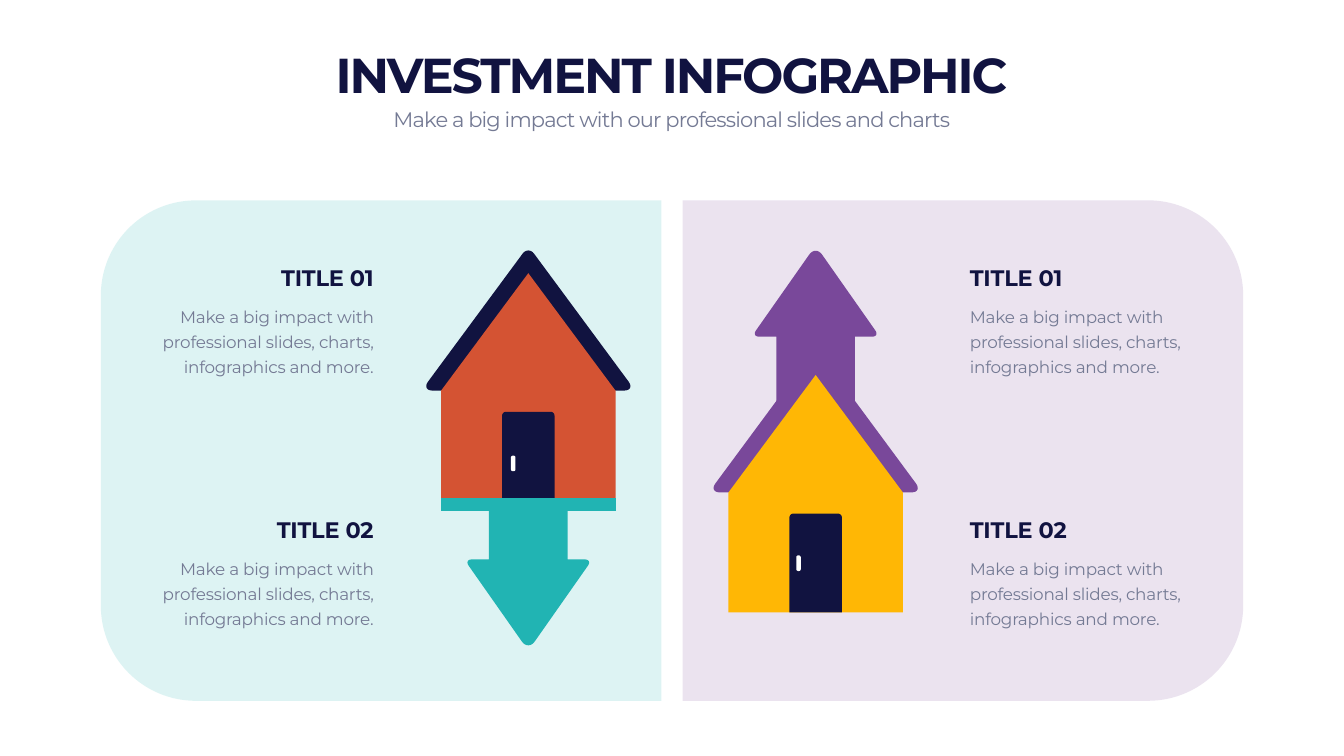
import typing

import lxml.etree
import pptx
import pptx.dml.color
import pptx.enum.shapes
import pptx.enum.text
import pptx.oxml.ns
import pptx.util

RGBColor = pptx.dml.color.RGBColor
Align = pptx.enum.text.PP_ALIGN
Anchor = pptx.enum.text.MSO_ANCHOR
ShapeKind = pptx.enum.shapes.MSO_SHAPE

NAVY = RGBColor(0x11, 0x13, 0x40)
GRAY = RGBColor(0x74, 0x7A, 0x94)
TEAL = RGBColor(0x21, 0xB4, 0xB3)
PURPLE = RGBColor(0x79, 0x48, 0x9A)
ORANGE = RGBColor(0xD4, 0x53, 0x33)
YELLOW = RGBColor(0xFF, 0xB7, 0x05)
WHITE = RGBColor(0xFF, 0xFF, 0xFF)

FONT = "Montserrat"
COLUMNS, ROWS = 26.66, 15  # square grid cells across and down the slide
CELL = pptx.util.Inches(1)
CURVE_STEPS = 8
WALL_HALF_WIDTH = 1.73
DESCRIPTION = "Make a big impact with professional slides, charts, infographics and more."


class Corner(typing.NamedTuple):
    """A vertex; cut is how far along each side its rounding starts."""
    x: float
    y: float
    cut: float = 0


class TextStyle(typing.NamedTuple):
    size: float
    color: RGBColor
    bold: bool
    spacing: float
    anchor: Anchor
    line_height: typing.Optional[float] = None


class House(typing.NamedTuple):
    center: float
    floor: float
    roof_color: RGBColor
    wall_color: RGBColor
    handle_offset: float
    handle_rise: float


class Arrow(typing.NamedTuple):
    center: float
    tail: float
    direction: int  # 1 points down, -1 points up
    color: RGBColor


class Panel(typing.NamedTuple):
    center: float
    rotation: float
    color: RGBColor
    text_left: float
    alignment: Align


HEADLINE = TextStyle(70, NAVY, True, -2.9, Anchor.BOTTOM)
SUBTITLE = TextStyle(30, GRAY, False, -1.2, Anchor.TOP)
ITEM_TITLE = TextStyle(32, NAVY, True, -0.3, Anchor.BOTTOM)
ITEM_BODY = TextStyle(24, GRAY, False, -0.3, Anchor.TOP, 36)

PANELS = (
    Panel(7.56, 270, TEAL, 2.74, Align.RIGHT),
    Panel(19.1, 90, PURPLE, 19.14, Align.LEFT),
)
ITEMS = (("TITLE 01", 5.19), ("TITLE 02", 10.19))
SINKING_HOUSE = House(10.48, 10.13, NAVY, ORANGE, -0.3, 0.78)
RISING_HOUSE = House(16.18, 12.15, PURPLE, YELLOW, -0.34, 0.82)
DOWN_ARROW = Arrow(10.48, 9.08, 1, TEAL)
UP_ARROW = Arrow(16.18, 8.7, -1, PURPLE)


def cells(count: float) -> int:
    return round(count * CELL)


def fill_plain(shape, color: RGBColor) -> None:
    shape.fill.solid()
    shape.fill.fore_color.rgb = color
    shape.line.fill.background()
    shape.shadow.inherit = False


def toward(start, end, distance: float) -> tuple[float, float]:
    length = ((end[0] - start[0]) ** 2 + (end[1] - start[1]) ** 2) ** 0.5
    share = distance / length
    return tuple(start[i] + (end[i] - start[i]) * share for i in (0, 1))


def rounded_points(corners: list[Corner]) -> list[tuple[float, float]]:
    points = []
    for index, corner in enumerate(corners):
        if not corner.cut:
            points.append((corner.x, corner.y))
            continue
        before, after = corners[index - 1], corners[(index + 1) % len(corners)]
        curve = [toward(corner, neighbor, corner.cut * share)
                 for neighbor, share in ((before, 1), (before, 0.45), (after, 0.45), (after, 1))]
        for step in range(CURVE_STEPS + 1):
            t = step / CURVE_STEPS
            weights = ((1 - t) ** 3, 3 * t * (1 - t) ** 2, 3 * t ** 2 * (1 - t), t ** 3)
            points.append(tuple(sum(weight * point[axis] for weight, point in zip(weights, curve))
                                for axis in (0, 1)))
    return points


def draw_outline(slide, corners: list[Corner], color: RGBColor) -> None:
    points = [(cells(x), cells(y)) for x, y in rounded_points(corners)]
    builder = slide.shapes.build_freeform(*points[0])
    builder.add_line_segments(points[1:], close=True)
    fill_plain(builder.convert_to_shape(), color)


def draw_block(slide, center: float, bottom: float, width: float, height: float,
               color: RGBColor, top_cut: float = 0, bottom_cut: float = 0) -> None:
    left, right, top = center - width / 2, center + width / 2, bottom - height
    draw_outline(slide, [Corner(left, top, top_cut), Corner(right, top, top_cut),
                         Corner(right, bottom, bottom_cut), Corner(left, bottom, bottom_cut)], color)


def draw_house(slide, house: House) -> None:
    center, floor = house.center, house.floor
    eaves, peak = floor - 2.38, floor - 4.71
    draw_outline(slide, [Corner(center - 2.12, eaves, 0.22), Corner(center, eaves - 2.87, 0.19),
                         Corner(center + 2.12, eaves, 0.22)], house.roof_color)
    left, right = center - WALL_HALF_WIDTH, center + WALL_HALF_WIDTH
    draw_outline(slide, [Corner(center, peak), Corner(left, eaves), Corner(left, floor),
                         Corner(right, floor), Corner(right, eaves)], house.wall_color)
    draw_block(slide, center, floor, 1.04, 1.96, NAVY, top_cut=0.08)
    draw_block(slide, center + house.handle_offset, floor - house.handle_rise,
               0.09, 0.31, WHITE, top_cut=0.04, bottom_cut=0.04)


def draw_arrow(slide, arrow: Arrow) -> None:
    half = [(0.78, 0, 0.03), (0.78, 2.02, 0), (1.27, 2.02, 0.15)]
    right = [Corner(arrow.center + x, arrow.tail + arrow.direction * y, cut) for x, y, cut in half]
    tip = Corner(arrow.center, arrow.tail + arrow.direction * 3.83, 0.22)
    left = [corner._replace(x=2 * arrow.center - corner.x) for corner in reversed(right)]
    draw_outline(slide, right + [tip] + left, arrow.color)


def write_text(shape, text: str, style: TextStyle, alignment: Align) -> None:
    frame = shape.text_frame
    frame.text = text
    frame.word_wrap = True
    frame.auto_size = pptx.enum.text.MSO_AUTO_SIZE.SHAPE_TO_FIT_TEXT
    frame.vertical_anchor = style.anchor
    paragraph = frame.paragraphs[0]
    paragraph.alignment = alignment
    paragraph.space_before = pptx.util.Pt(0)
    if style.line_height:
        paragraph.line_spacing = pptx.util.Pt(style.line_height)
    run = paragraph.runs[0]
    run.font.name = FONT
    run.font.size = pptx.util.Pt(style.size)
    run.font.bold = style.bold
    run.font.color.rgb = style.color
    run._r.get_or_add_rPr().set("spc", str(round(style.spacing * 100)))


def place(shape, left: float, top: float, width: float, height: float) -> None:
    shape.left, shape.top = cells(left), cells(top)
    shape.width, shape.height = cells(width), cells(height)


def draw_panel(slide, panel: Panel) -> None:
    width, height, middle = 9.93, 11.12, 8.94
    box = (panel.center - width / 2, middle - height / 2, width, height)
    shape = slide.shapes.add_shape(ShapeKind.ROUND_2_SAME_RECTANGLE, *map(cells, box))
    shape.rotation = panel.rotation
    shape.adjustments[0] = 0.19
    fill_plain(shape, panel.color)
    color = shape._element.spPr.find(".//" + pptx.oxml.ns.qn("a:srgbClr"))
    lxml.etree.SubElement(color, pptx.oxml.ns.qn("a:alpha"), val="15000")


def draw_items(slide, panel: Panel) -> None:
    for title, top in ITEMS:
        for text, offset, height, style in ((title, 0, 0.64, ITEM_TITLE),
                                            (DESCRIPTION, 0.74, 1.57, ITEM_BODY)):
            box = (panel.text_left, top + offset, 4.77, height)
            write_text(slide.shapes.add_textbox(*map(cells, box)), text, style, panel.alignment)


def main() -> None:
    presentation = pptx.Presentation()
    presentation.slide_width, presentation.slide_height = cells(COLUMNS), cells(ROWS)
    slide = presentation.slides.add_slide(presentation.slide_layouts[0])
    title, subtitle = slide.placeholders
    place(title, 1.66, 0.82, 23.33, 1.28)
    write_text(title, "INVESTMENT INFOGRAPHIC", HEADLINE, Align.CENTER)
    place(subtitle, 1.66, 2.06, 23.33, 0.61)
    write_text(subtitle, "Make a big impact with our professional slides and charts",
               SUBTITLE, Align.CENTER)

    for panel in PANELS:
        draw_panel(slide, panel)
    for arrow, house in ((UP_ARROW, RISING_HOUSE), (DOWN_ARROW, SINKING_HOUSE)):
        draw_arrow(slide, arrow)
        draw_house(slide, house)
    draw_block(slide, SINKING_HOUSE.center, SINKING_HOUSE.floor, 2 * WALL_HALF_WIDTH, 0.25, TEAL)
    for panel in PANELS:
        draw_items(slide, panel)
    presentation.save("out.pptx")


if __name__ == "__main__":
    main()
